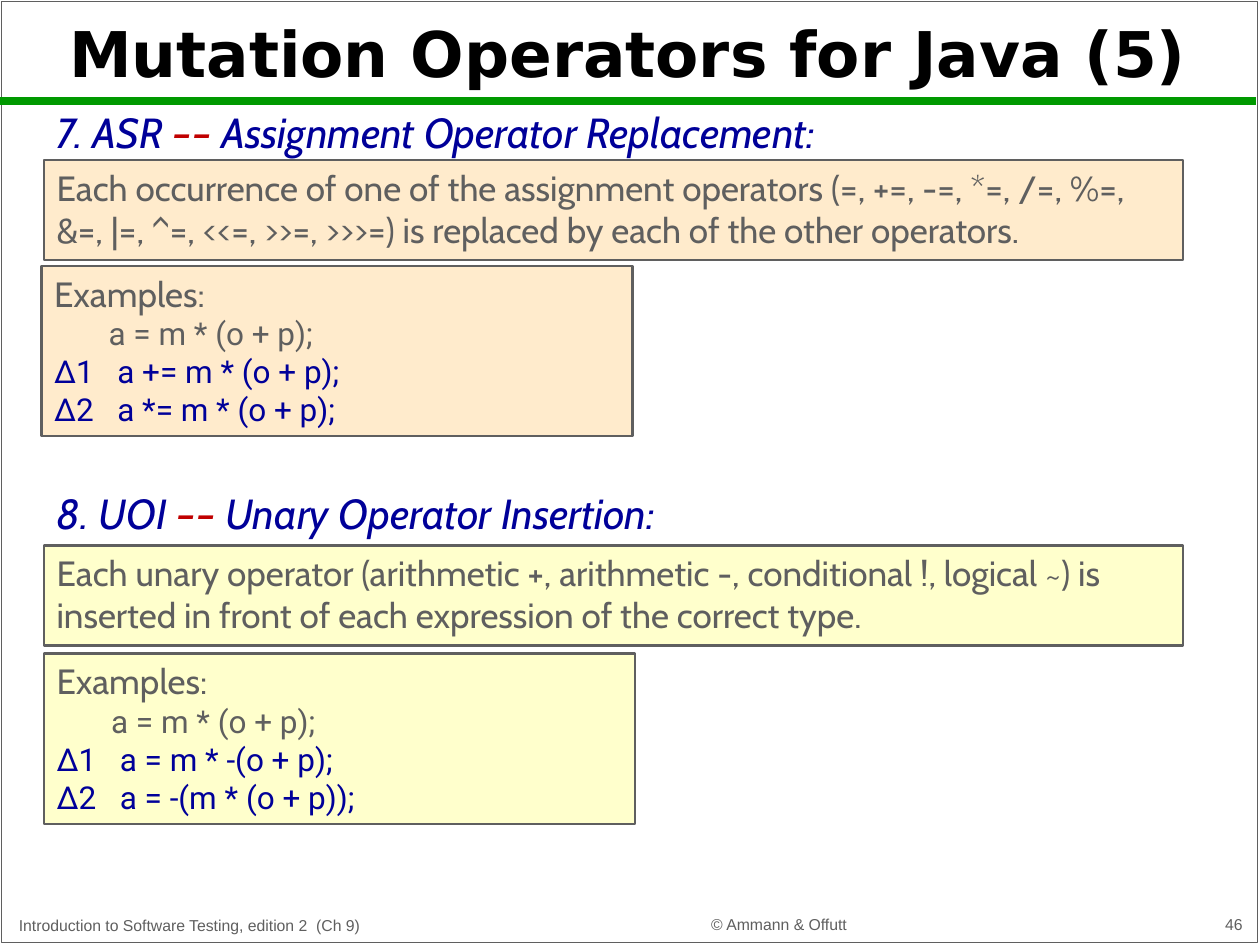
from pptx import Presentation
from pptx.dml.color import RGBColor as RGB
from pptx.enum.shapes import MSO_CONNECTOR as Conn, MSO_SHAPE as Kind
from pptx.enum.text import MSO_ANCHOR as Anchor, PP_ALIGN as Align
from pptx.oxml.ns import qn
from pptx.util import Cm, Pt
from lxml import etree

# Content
TITLE = "Mutation Operators for Java (5)"
FOOT = [
    ("Introduction to Software Testing, edition 2  (Ch 9)", Align.LEFT, (0.13, 18.26, 11.05, 0.71)),
    ("© Ammann & Offutt", Align.CENTER, (11.68, 18.24, 8.05, 0.71)),
    ("46", Align.RIGHT, (20.02, 18.21, 5.28, 0.74)),
]
PARTS = [
    {
        "head": ("7. ASR ", "––", " Assignment Operator Replacement:"),
        "rule": "Each occurrence of one of the assignment operators (=, +=, -=, *=, /=, %=, "
                "&=, |=, ^=, <<=, >>=, >>>=) is replaced by each of the other operators.",
        "code": ["       a = m * (o + p);", "∆1   a += m * (o + p);", "∆2   a *= m * (o + p);"],
        "fill": "peach", "tops": (2.03, 3.23, 5.36), "left": 0.84,
    },
    {
        "head": ("8. UOI ", "–– ", "Unary Operator Insertion:"),
        "rule": "Each unary operator (arithmetic +, arithmetic -, conditional !, logical ~) is "
                "inserted in front of each expression of the correct type.",
        "code": ["       a = m * (o + p);", "∆1   a = m * -(o + p);", "∆2   a = -(m * (o + p));"],
        "fill": "cream", "tops": (9.7, 11, 13.18), "left": 0.89,
    },
]
HEX = {"gray": "5F5F5F", "green": "009900", "navy": "000099", "red": "C00000",
       "black": "000000", "peach": "FFEBCC", "cream": "FFFFCC"}
LEFT = 0.89


def color(name):
    return RGB.from_string(HEX[name])


def style(font, face, size, name, bold=False, italic=False):
    font.name, font.size = face, Pt(size)
    font.bold, font.italic = bold, italic
    font.color.rgb = color(name)


def add_text(area, text, align=Align.LEFT, anchor=Anchor.TOP):
    box = slide.shapes.add_textbox(*map(Cm, area))
    frame = box.text_frame
    frame.word_wrap = True
    frame.vertical_anchor = anchor
    frame.text = text
    para = frame.paragraphs[0]
    para.alignment = align
    return para


def add_box(area, fill=None, width=1.5):
    box = slide.shapes.add_shape(Kind.RECTANGLE, *map(Cm, area))
    box.shadow.inherit = False
    if fill:
        box.fill.solid()
        box.fill.fore_color.rgb = color(fill)
    else:
        box.fill.background()
    box.line.color.rgb = color("gray")
    box.line.width = Pt(width)
    frame = box.text_frame
    frame.word_wrap = True
    frame.vertical_anchor = Anchor.TOP
    return frame


def add_lines(frame, lines):
    frame.text = "\n".join(text for text, *_ in lines)
    for para, (_, face, size, name) in zip(frame.paragraphs, lines):
        para.alignment = Align.LEFT
        style(para.runs[0].font, face, size, name)


deck = Presentation()
deck.slide_width, deck.slide_height = Cm(25.4), Cm(19.05)
slide = deck.slides.add_slide(deck.slide_layouts[6])

# Frame and green bar
add_box((0.03, 0.03, 25.32, 18.97), width=1)
bar = slide.shapes.add_connector(Conn.STRAIGHT, 0, Cm(2.03), Cm(25.32), Cm(2.03))
bar.line.color.rgb = color("green")
bar.line.width = Pt(4.5)
etree.SubElement(bar.line._get_or_add_ln().getparent(), qn("a:effectLst"))

# Footer
for text, align, area in FOOT:
    para = add_text(area, text, align, Anchor.BOTTOM)
    style(para.runs[0].font, "Arial", 9, "gray")

# Title
para = add_text((0.03, 0.28, 25.25, 1.75), TITLE, Align.CENTER, Anchor.MIDDLE)
para.line_spacing = 0.9
style(para.runs[0].font, "DejaVu Sans", 36, "black", bold=True)

# Operators: rule box, heading, examples
for part in PARTS:
    top, mid, low = part["tops"]
    frame = add_box((LEFT, mid, 22.96, 2.01), part["fill"])
    add_lines(frame, [(part["rule"], "Cabin", 20, "gray")])

    para = add_text((LEFT, top, 24, 1.5), "")
    for text, name in zip(part["head"], ("navy", "red", "navy")):
        run = para.add_run()
        run.text = text
        style(run.font, "Cabin", 24, name, italic=True)

    frame = add_box((part["left"], low, 11.91, 3.43), part["fill"])
    names = ("gray", "navy", "navy")
    code = [(text, "Roboto", 18, name) for text, name in zip(part["code"], names)]
    add_lines(frame, [("Examples:", "Cabin", 20, "gray")] + code)

deck.save("out.pptx")
